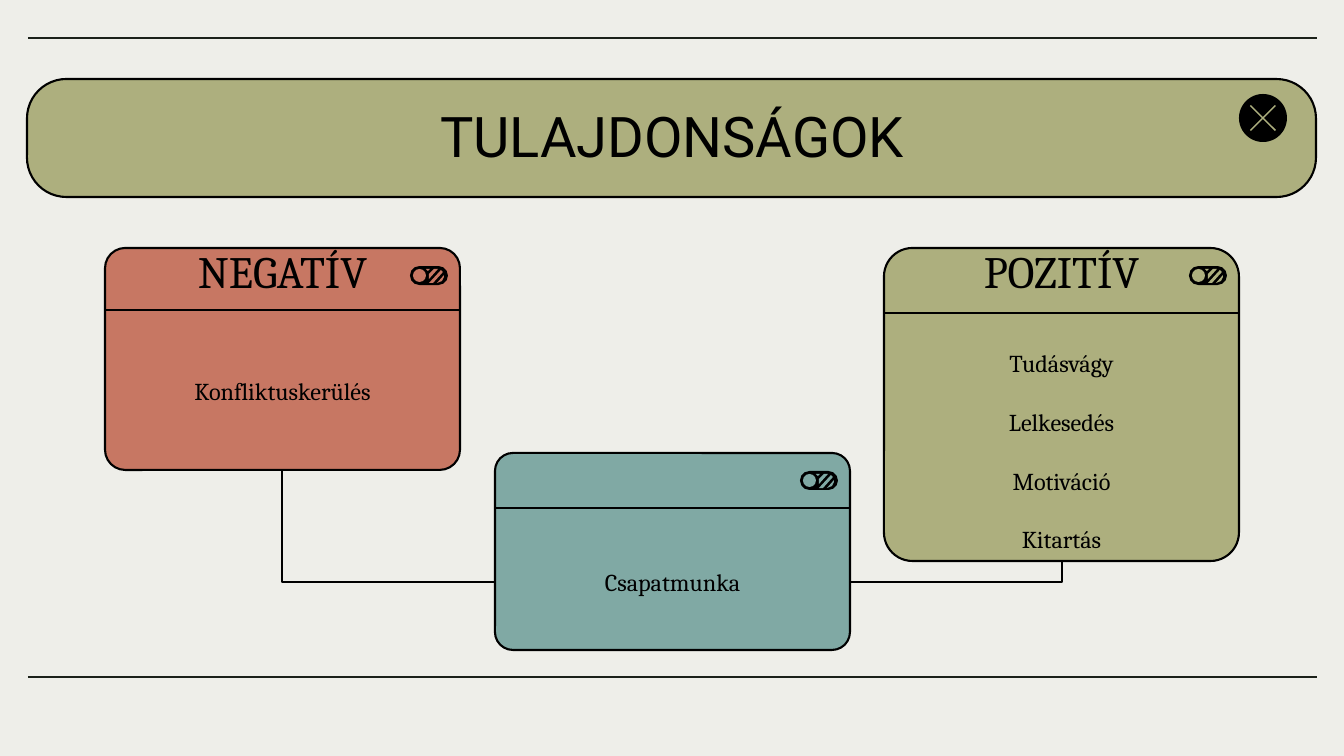
from dataclasses import dataclass

from lxml.etree import SubElement
from pptx import Presentation
from pptx.dml.color import RGBColor
from pptx.enum.shapes import MSO_CONNECTOR as Link, MSO_SHAPE as Preset
from pptx.enum.text import MSO_ANCHOR as Anchor, PP_ALIGN as Align
from pptx.oxml.ns import qn
from pptx.util import Emu, Pt

PX = 914400 / 100.8
BACKGROUND, RULE, BLACK = "EEEEE9", "1B2119", "000000"
OLIVE, RED, TEAL = "ADAF7E", "C77763", "80A9A4"
SERIF, SANS = "Cambria", "Roboto"
LINE_WIDTH = Pt(1.5)
INSET = 13

Point = tuple[int, int]

TOGGLE_STRIPES: list[list[Point]] = [
    [(20, 3), (18, 5), (16, 3)],
    [(28, 3), (19, 13), (19, 8), (24, 3)],
    [(31, 4), (33, 6), (23, 17), (19, 17)],
    [(34, 9), (34, 11), (32, 15), (27, 17)],
]
CLOSE_CROSS: list[Point] = [
    (1, 0), (0, 1), (12, 13), (0, 25), (1, 26), (13, 14),
    (25, 26), (26, 25), (14, 13), (26, 1), (25, 0), (13, 12),
]


@dataclass(frozen=True)
class Card:
    left: int
    top: int
    height: int
    divider: int
    colour: str
    heading: str
    items: list[str]
    body_top: int
    body_height: int
    width: int = 355


CARDS = [
    Card(105, 248, 222, 310, RED, "negatív", ["Konfliktuskerülés"], 348, 85),
    Card(884, 248, 313, 313, OLIVE, "pozitív",
         ["Tudásvágy", "Lelkesedés", "Motiváció", "Kitartás"], 348, 206),
    Card(495, 453, 197, 508, TEAL, "", ["Csapatmunka"], 526, 111),
]


def px(value: int) -> Emu:
    return Emu(round(value * PX))


def rgb(colour: str) -> RGBColor:
    return RGBColor.from_string(colour)


def paint(shape, fill: str, line: str | None = None) -> None:
    shape.shadow.inherit = False
    shape.fill.solid()
    shape.fill.fore_color.rgb = rgb(fill)
    if line:
        shape.line.color.rgb = rgb(line)
        shape.line.width = LINE_WIDTH
    else:
        shape.line.fill.background()


def add_preset(page, preset, left: int, top: int, width: int, height: int,
               fill: str, line: str | None = None, corner: float | None = None) -> None:
    shape = page.shapes.add_shape(preset, px(left), px(top), px(width), px(height))
    if corner is not None:
        shape.adjustments[0] = corner
    paint(shape, fill, line)


def add_outline(page, left: int, top: int, contours: list[list[Point]], fill: str) -> None:
    builder = page.shapes.build_freeform(*contours[0][0], scale=PX)
    for number, contour in enumerate(contours):
        if number:
            builder.move_to(*contour[0])
        builder.add_line_segments(contour[1:], close=True)
    paint(builder.convert_to_shape(px(left), px(top)), fill)


def add_line(page, start: Point, end: Point, colour: str = BLACK, bent: bool = False) -> None:
    kind = Link.ELBOW if bent else Link.STRAIGHT
    line = page.shapes.add_connector(kind, *map(px, start + end))
    line.line.color.rgb = rgb(colour)
    line.line.width = LINE_WIDTH
    properties = line._element.spPr
    if bent:  # a single corner: horizontal first, then vertical
        properties.find(qn("a:prstGeom")).set("prst", "bentConnector2")
    SubElement(properties, qn("a:effectLst"))


def add_text(page, left: int, top: int, width: int, height: int, lines: list[str],
             size: float, font: str, spacing: float | None = None,
             after: float = 0, small_caps: bool = False) -> None:
    box = page.shapes.add_textbox(px(left), px(top), px(width), px(height))
    frame = box.text_frame
    frame.word_wrap = True
    frame.vertical_anchor = Anchor.MIDDLE
    frame.margin_left = frame.margin_right = px(INSET)
    frame.margin_top = frame.margin_bottom = px(INSET)
    for number, line in enumerate(lines):
        para = frame.add_paragraph() if number else frame.paragraphs[0]
        para.alignment = Align.CENTER
        para.line_spacing = spacing
        para.space_after = Pt(after)
        span = para.add_run()
        span.text = line
        span.font.size = Pt(size)
        span.font.name = font
        span.font.color.rgb = rgb(BLACK)
        if small_caps:
            span.font._element.set("cap", "small")


def add_toggle(page, left: int, top: int, colour: str) -> None:
    add_preset(page, Preset.ROUNDED_RECTANGLE, left, top, 38, 19, BLACK, corner=0.5)
    add_preset(page, Preset.OVAL, left + 3, top + 3, 13, 13, colour)
    add_outline(page, left + 16, top + 3, [
        [(x - 16, y - 3) for x, y in stripe] for stripe in TOGGLE_STRIPES], colour)


def add_card(page, card: Card) -> None:
    add_preset(page, Preset.ROUNDED_RECTANGLE, card.left, card.top, card.width,
               card.height, card.colour, BLACK, 0.091)
    add_line(page, (card.left, card.divider), (card.left + card.width - 1, card.divider))
    if card.heading:
        add_text(page, card.left + 50, card.top - 2, 255, 57, [card.heading],
                 40, SERIF, spacing=0.7, small_caps=True)
    add_text(page, card.left + 22, card.body_top, 311, card.body_height,
             card.items, 17.3, SERIF, after=21.3)
    add_toggle(page, card.left + 305, card.top + 18, card.colour)


def main() -> None:
    deck = Presentation()
    deck.slide_width, deck.slide_height = px(1344), px(756)
    page = deck.slides.add_slide(deck.slide_layouts[6])
    page.background.fill.solid()
    page.background.fill.fore_color.rgb = rgb(BACKGROUND)

    # Title bar between the page rules
    add_preset(page, Preset.ROUNDED_RECTANGLE, 27, 79, 1289, 118, OLIVE, BLACK, 0.334)
    for y in (38, 677):
        add_line(page, (28, y), (1317, y), RULE)
    add_text(page, 105, 101, 1134, 84, ["TULAJDONSÁGOK"], 40, SANS, spacing=0.7)

    # Close button
    add_preset(page, Preset.OVAL, 1239, 94, 48, 48, BLACK)
    add_outline(page, 1250, 105, [CLOSE_CROSS], OLIVE)

    # Links from the middle card, then the cards above them
    add_line(page, (516, 582), (282, 470), bent=True)
    add_line(page, (828, 582), (1062, 561), bent=True)
    for card in CARDS:
        add_card(page, card)

    deck.save("out.pptx")


if __name__ == "__main__":
    main()
